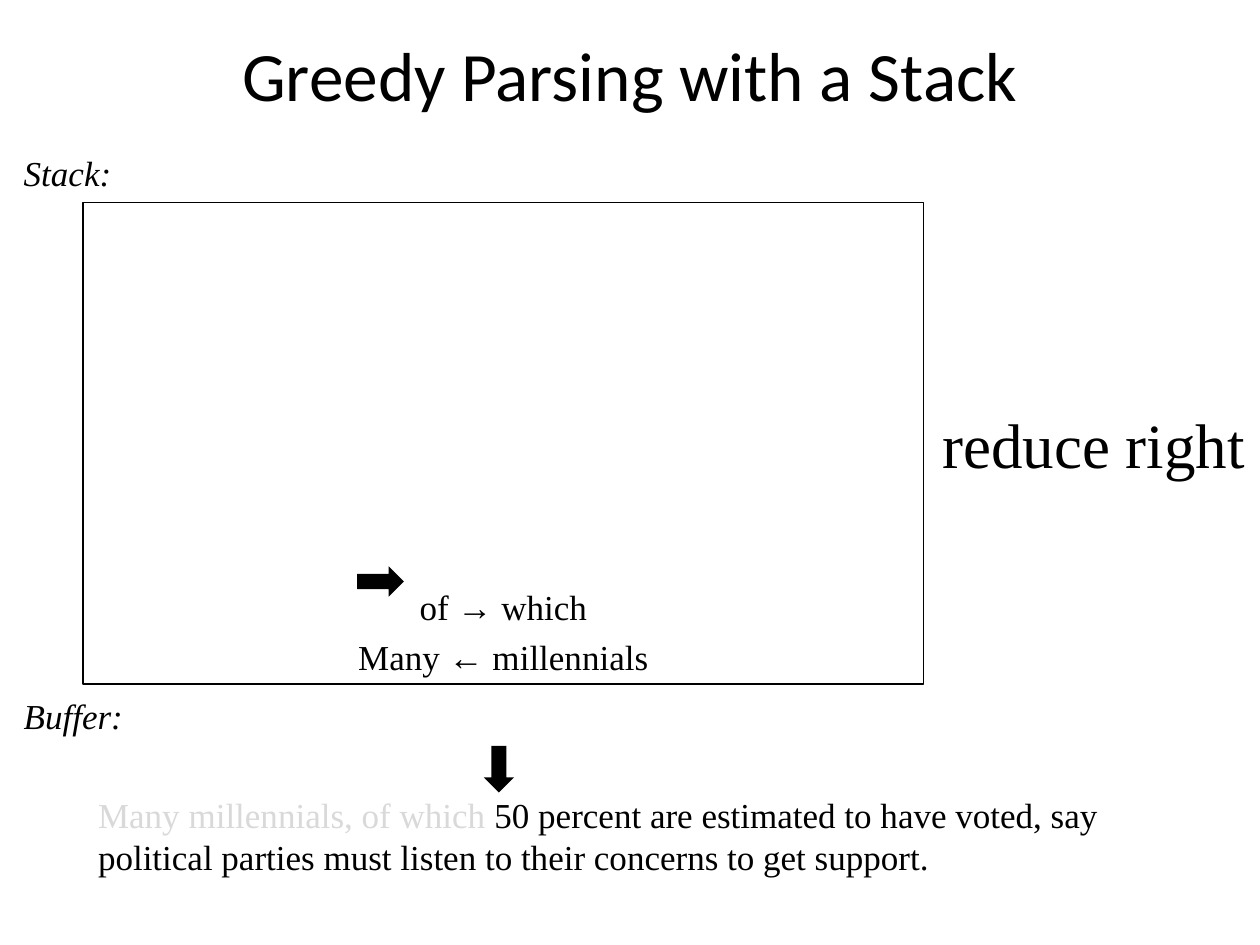
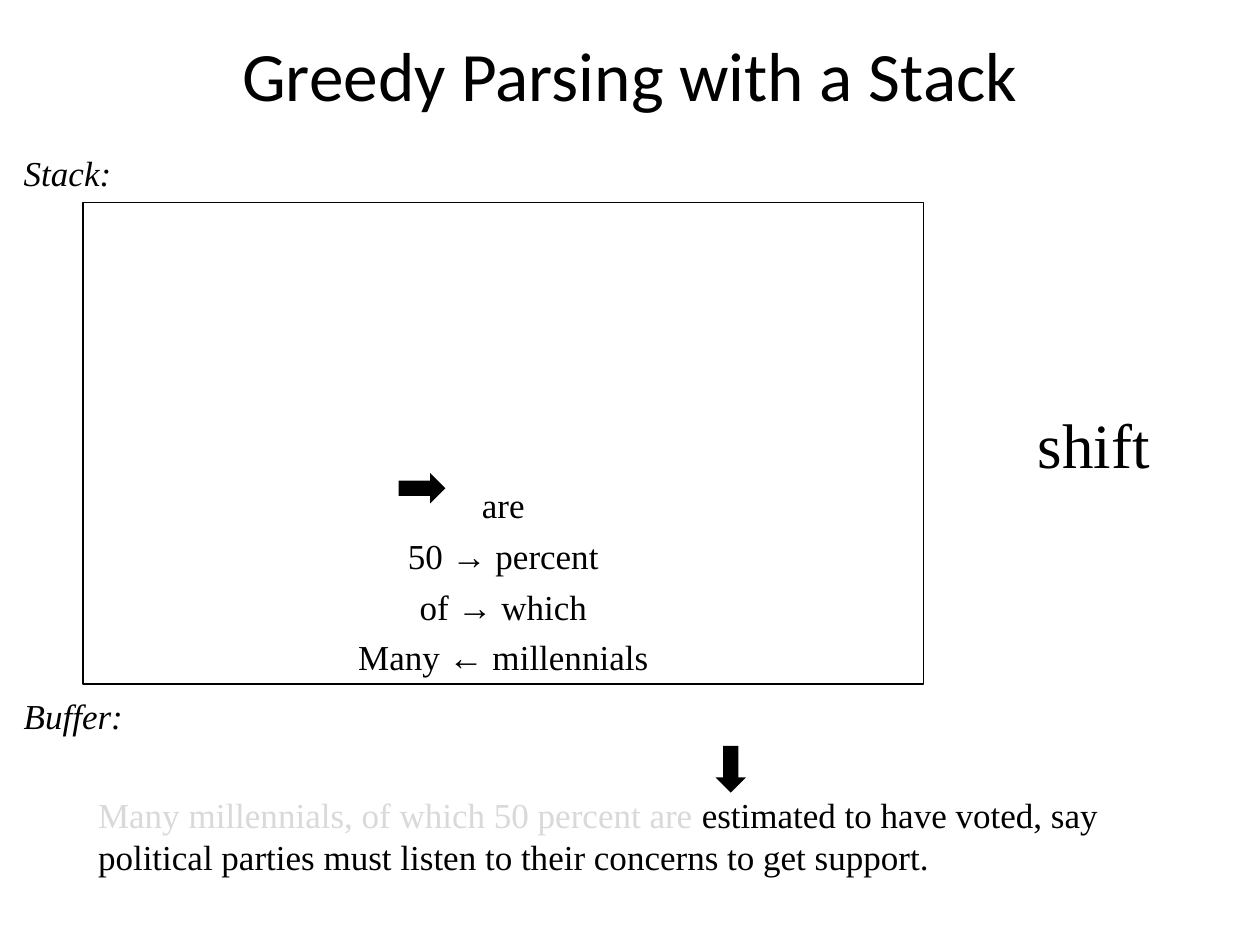
import pptx
import pptx.dml.color
import pptx.enum.shapes
import pptx.enum.text
import pptx.util

Inches = pptx.util.Inches
Pt = pptx.util.Pt
Align = pptx.enum.text.PP_ALIGN
Anchor = pptx.enum.text.MSO_ANCHOR
Shape = pptx.enum.shapes.MSO_SHAPE

BLACK = "000000"
READ_GREY = "D9D9D9"
TITLE_FONT = "Calibri"
BODY_FONT = "Times New Roman"
ACTION_CENTER = 8.68


def color(hex_string):
    """Turn a hex string into a colour."""
    return pptx.dml.color.RGBColor.from_string(hex_string)


class ParserDeck:
    """Hold the style and the current slide."""

    def __init__(self):
        """Start an empty 10 by 7.5 inch presentation."""
        self.presentation = pptx.Presentation()
        self.presentation.slide_width = Inches(10)
        self.presentation.slide_height = Inches(7.5)
        self.slide = None

    def new_slide(self):
        """Add a blank slide and make it current."""
        self.slide = self.presentation.slides.add_slide(self.presentation.slide_layouts[6])

    def add_lines(self, frame, lines, size=20, font=BODY_FONT, align=Align.LEFT, italic=False):
        """Fill a text frame with lines, each a list of (text, colour) runs."""
        for index, line in enumerate(lines):
            paragraph = frame.paragraphs[0] if index == 0 else frame.add_paragraph()
            paragraph.alignment = align
            if index:
                paragraph.space_before = Pt(5)
            for text, hex_string in line:
                run = paragraph.add_run()
                run.text = text
                run.font.name = font
                run.font.size = Pt(size)
                run.font.italic = italic
                run.font.color.rgb = color(hex_string)

    def text(self, box, runs, anchor=Anchor.TOP, wrap=True, **style):
        """Add a text box with one paragraph."""
        frame = self.slide.shapes.add_textbox(*map(Inches, box)).text_frame
        frame.word_wrap = wrap
        frame.vertical_anchor = anchor
        self.add_lines(frame, [runs], **style)
        return frame

    def title(self, text):
        """Add the slide title."""
        self.text((0.5, 0.19, 9, 0.79), [(text, BLACK)], Anchor.MIDDLE,
                  size=39.6, font=TITLE_FONT, align=Align.CENTER)

    def label(self, text, top):
        """Add an italic section label at the left edge."""
        self.text((0.09, top, 1.07, 0.42), [(text, BLACK)], italic=True)

    def action(self, text, width):
        """Add the large name of the parser action beside the stack."""
        frame = self.text((ACTION_CENTER - width / 2, 3.17, width, 0.71), [(text, BLACK)],
                          wrap=False, size=36, align=Align.CENTER)
        frame.auto_size = pptx.enum.text.MSO_AUTO_SIZE.SHAPE_TO_FIT_TEXT

    def stack(self, entries):
        """Add the stack frame with its entries, top entry first."""
        stack = self.slide.shapes.add_shape(
            Shape.RECTANGLE, *map(Inches, (0.66, 1.61, 6.67, 3.82)))
        stack.shadow.inherit = False
        stack.fill.background()
        stack.line.color.rgb = color(BLACK)
        stack.line.width = Pt(0.75)
        stack.text_frame.word_wrap = True
        stack.text_frame.vertical_anchor = Anchor.BOTTOM
        self.add_lines(stack.text_frame, [[(entry, BLACK)] for entry in entries],
                       align=Align.CENTER)

    def pointer(self, left, top, rotation=0):
        """Add a solid block arrow."""
        pointer = self.slide.shapes.add_shape(
            Shape.DOWN_ARROW, *map(Inches, (left, top, 0.24, 0.37)))
        pointer.shadow.inherit = False
        pointer.fill.solid()
        pointer.fill.fore_color.rgb = color(BLACK)
        pointer.line.fill.background()
        pointer.rotation = rotation

    def parser_step(self, entries, read_words, unread_words, buffer_left, stack_pointer,
                    action, action_width):
        """Build one slide showing a state of the parser."""
        self.new_slide()
        self.title("Greedy Parsing with a Stack")
        self.text((0.68, 6.25, 9, 0.83), [(read_words, READ_GREY), (unread_words, BLACK)])
        self.pointer(buffer_left, 5.92)
        self.label("Buffer:", 5.46)
        self.label("Stack:", 1.15)
        self.stack(entries)
        self.action(action, action_width)
        self.pointer(*stack_pointer, rotation=270)


def main():
    """Build both parser steps and save them."""
    deck = ParserDeck()
    phrases = ["of → which", "Many ← millennials"]
    first_words = "Many millennials, of which"
    next_words = " 50 percent are"
    last_words = (" estimated to have voted, say political parties must listen "
                  "to their concerns to get support.")
    deck.parser_step(phrases, first_words, next_words + last_words,
                     3.84, (2.9, 4.43), "reduce right", 2.78)
    deck.parser_step(["are", "50 → percent"] + phrases, first_words + next_words, last_words,
                     5.68, (3.23, 3.69), "shift", 1.13)
    deck.presentation.save("out.pptx")


if __name__ == "__main__":
    main()
